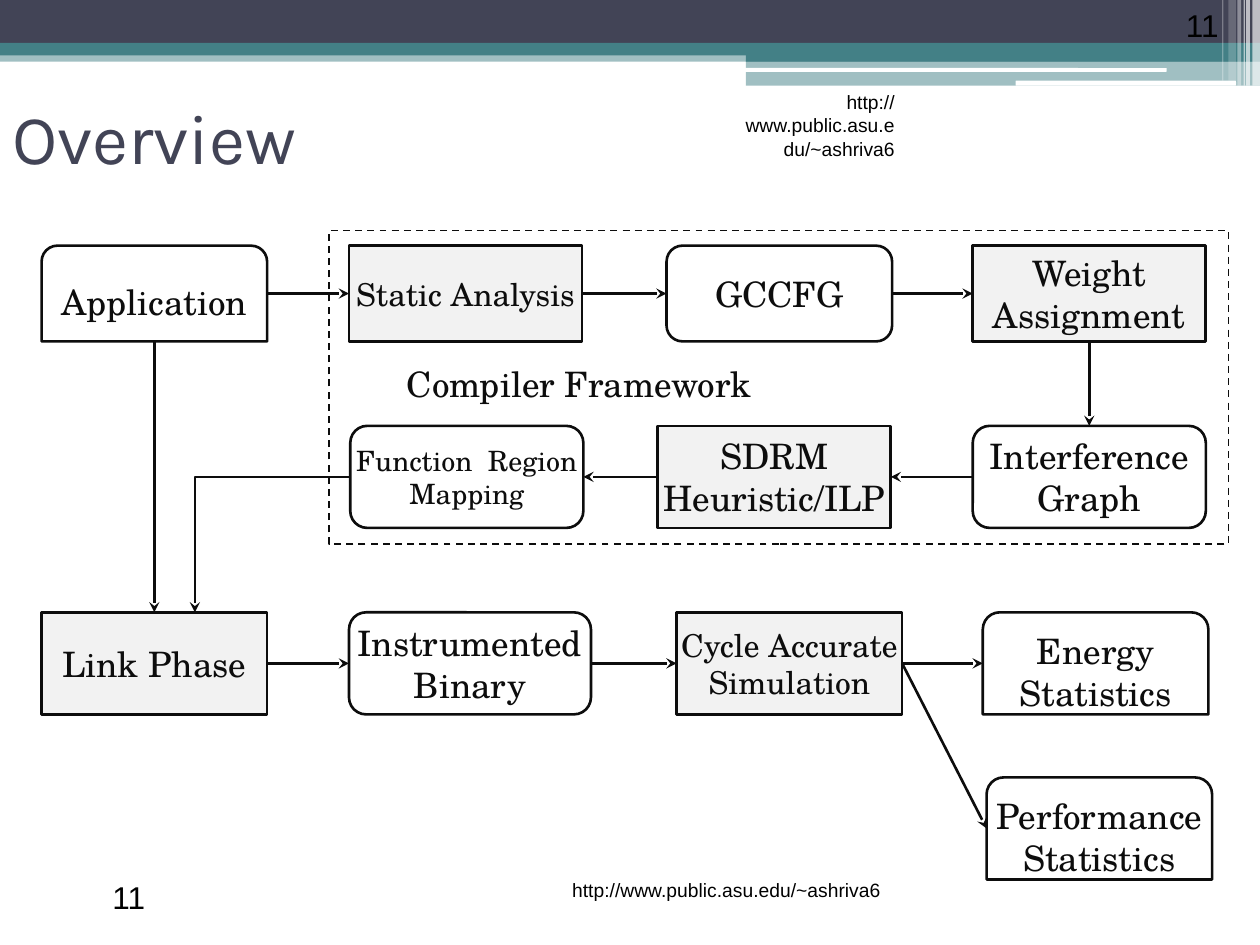
from lxml import etree
from pptx import Presentation
from pptx.dml.color import RGBColor
from pptx.enum.dml import MSO_LINE
from pptx.enum.shapes import MSO_CONNECTOR, MSO_SHAPE
from pptx.enum.text import MSO_ANCHOR, PP_ALIGN
from pptx.oxml.ns import qn
from pptx.util import Inches, Pt

RECT, ROUND = MSO_SHAPE.RECTANGLE, MSO_SHAPE.ROUNDED_RECTANGLE
TOP_ROUND = MSO_SHAPE.ROUND_2_SAME_RECTANGLE
STRAIGHT, ELBOW = MSO_CONNECTOR.STRAIGHT, MSO_CONNECTOR.ELBOW
DASH = MSO_LINE.DASH
TOP, MIDDLE, BOTTOM = MSO_ANCHOR.TOP, MSO_ANCHOR.MIDDLE, MSO_ANCHOR.BOTTOM
LEFT, CENTER, RIGHT = PP_ALIGN.LEFT, PP_ALIGN.CENTER, PP_ALIGN.RIGHT

INK, GREY, WHITE = "0D0D0D", "F2F2F2", "FFFFFF"
NAVY, TEAL, BLACK = "424456", "438086", "000000"
DIAGRAM_FONT = "TeX Gyre Schola"
URL = "http://www.public.asu.edu/~ashriva6"

# shape, (left, top, width, height), colour, opacity in percent
BANNER = [
    (RECT, (0, 0.4, 10, 0.09), TEAL, 50),
    (RECT, (0, 0, 10, 0.34), NAVY, 100),
    (RECT, (0, 0.34, 10, 0.1), TEAL, 100),
    (RECT, (5.92, 0.39, 4.08, 0.1), TEAL, 100),
    (RECT, (5.92, 0.48, 4.08, 0.2), TEAL, 50),
    (ROUND, (5.91, 0.54, 3.35, 0.03), WHITE, 100),
    (ROUND, (8.06, 0.64, 1.75, 0.04), WHITE, 100),
    (RECT, (9.94, 0, 0.06, 0.68), WHITE, 65),
    (RECT, (9.89, 0, 0.03, 0.68), WHITE, 65),
    (RECT, (9.87, 0, 0.01, 0.68), WHITE, 60),
    (RECT, (9.82, 0, 0.03, 0.68), WHITE, 40),
    (RECT, (9.75, 0, 0.06, 0.64), WHITE, 20),
    (RECT, (9.7, 0, 0.01, 0.64), WHITE, 30),
]

# text, area, size, font, colour, alignment, anchor, margins (side, top)
LABELS = [
    ("Overview", (0, 0.5, 9, 1.17), 40, "Karla", NAVY, LEFT, MIDDLE, (0.1, 0.05)),
    ("11", (8.94, 0, 0.83, 0.4), 18, "Arial", BLACK, RIGHT, BOTTOM, (0.1, 0.05)),
    ("Compiler Framework", (2.77, 2.71, 3.65, 0.67), 20, DIAGRAM_FONT, INK,
     CENTER, MIDDLE, (0, 0)),
    (URL, (5.75, 0.67, 1.45, 0.5), 11, "Arial", BLACK, RIGHT, TOP, (0.1, 0.05)),
    ("11", (0.42, 6.92, 0.83, 0.4), 18, "Arial", BLACK, RIGHT, BOTTOM, (0.1, 0.05)),
    (URL, (4.05, 6.92, 3.04, 0.5), 11, "Arial", BLACK, RIGHT, TOP, (0.1, 0.05)),
]

# top and height of each row of the flow chart
ROWS = [(1.95, 0.76), (3.38, 0.81), (4.86, 0.81), (6.17, 0.81)]

# name: (row, left, width, shape, text size, text)
STEPS = {
    "application": (0, 0.33, 1.79, TOP_ROUND, 20, "Application"),
    "analysis": (0, 2.77, 1.85, RECT, 18, "Static Analysis"),
    "gccfg": (0, 5.29, 1.79, ROUND, 20, "GCCFG"),
    "weight": (0, 7.72, 1.85, RECT, 20, "Weight Assignment"),
    "mapping": (1, 2.78, 1.85, ROUND, 16, "Function  Region Mapping"),
    "sdrm": (1, 5.22, 1.85, RECT, 20, "SDRM Heuristic/ILP"),
    "interference": (1, 7.72, 1.85, ROUND, 20, "Interference Graph"),
    "link": (2, 0.33, 1.79, RECT, 20, "Link Phase"),
    "binary": (2, 2.77, 1.92, ROUND, 20, "Instrumented Binary"),
    "simulation": (2, 5.37, 1.79, RECT, 18, "Cycle Accurate Simulation"),
    "energy": (2, 7.8, 1.79, TOP_ROUND, 20, "Energy Statistics"),
    "performance": (3, 7.83, 1.79, TOP_ROUND, 20, "Performance Statistics"),
}

# from step, side, to step, side
ARROWS = [
    ("application", "right", "analysis", "left"),
    ("analysis", "right", "gccfg", "left"),
    ("gccfg", "right", "weight", "left"),
    ("weight", "bottom", "interference", "top"),
    ("interference", "left", "sdrm", "right"),
    ("sdrm", "left", "mapping", "right"),
    ("application", "bottom", "link", "top"),
    ("link", "right", "binary", "left"),
    ("binary", "right", "simulation", "left"),
    ("simulation", "right", "energy", "left"),
    ("simulation", "right", "performance", "left"),
]
SIDES = {"left": (0, 0.5), "right": (1, 0.5), "top": (0.5, 0), "bottom": (0.5, 1)}
MAPPING_ENTRY = (0.68, 0)  # where the bent arrow meets the link phase
FRAME = (2.61, 1.83, 7.14, 2.49)


def rgb(value):
    return RGBColor.from_string(value)


def inches(values):
    return [Inches(value) for value in values]


def add_box(kind, area, fill=None, line=None, width=1.5, opacity=100):
    box = slide.shapes.add_shape(kind, *inches(area))
    box.shadow.inherit = False
    if fill:
        box.fill.solid()
        box.fill.fore_color.rgb = rgb(fill)
        if opacity < 100:
            colour = box.fill._xPr.find(".//" + qn("a:srgbClr"))
            etree.SubElement(colour, qn("a:alpha"), val=str(opacity * 1000))
    else:
        box.fill.background()
    if line:
        box.line.color.rgb = rgb(line)
        box.line.width = Pt(width)
    else:
        box.line.fill.background()
    return box


def write(box, text, size, font, colour, align=CENTER, anchor=MIDDLE, margins=(0, 0)):
    frame = box.text_frame
    frame.text = text
    frame.word_wrap = True
    frame.vertical_anchor = anchor
    frame.margin_left = frame.margin_right = Inches(margins[0])
    frame.margin_top = frame.margin_bottom = Inches(margins[1])
    para = frame.paragraphs[0]
    para.alignment = align
    para.font.size = Pt(size)
    span = para.runs[0]
    span.font.size = Pt(size)
    span.font.name = font
    span.font.color.rgb = rgb(colour)


def step_area(name):
    row, left, width = STEPS[name][:3]
    top, height = ROWS[row]
    return left, top, width, height


def point(name, share):
    """Point on a step, given as shares of its width and height."""
    left, top, width, height = step_area(name)
    return left + share[0] * width, top + share[1] * height


def add_arrow(kind, start, end):
    arrow = slide.shapes.add_connector(kind, *inches(start + end))
    arrow.line.color.rgb = rgb(INK)
    arrow.line.width = Pt(1.5)
    etree.SubElement(arrow.line._get_or_add_ln(), qn("a:tailEnd"), type="stealth")
    properties = arrow._element.spPr
    etree.SubElement(properties, qn("a:effectLst"))
    if kind == ELBOW:  # a single bend
        properties.find(qn("a:prstGeom")).set("prst", "bentConnector2")


deck = Presentation()
deck.slide_width, deck.slide_height = Inches(10), Inches(7.5)
slide = deck.slides.add_slide(deck.slide_layouts[6])

for kind, area, colour, opacity in BANNER:
    add_box(kind, area, colour, opacity=opacity)

for name, (row, left, width, kind, size, text) in STEPS.items():
    box = add_box(kind, step_area(name), GREY if kind == RECT else None, INK)
    write(box, text, size, DIAGRAM_FONT, INK)
    if kind == TOP_ROUND:
        box.text_frame.margin_top = Inches(0.09)

for source, source_side, target, target_side in ARROWS:
    add_arrow(STRAIGHT, point(source, SIDES[source_side]),
              point(target, SIDES[target_side]))
add_arrow(ELBOW, point("mapping", SIDES["left"]), point("link", MAPPING_ENTRY))

frame_box = add_box(RECT, FRAME, line=INK, width=1)
frame_box.line.dash_style = DASH

for text, area, *style in LABELS:
    write(slide.shapes.add_textbox(*inches(area)), text, *style)

deck.save("out.pptx")
